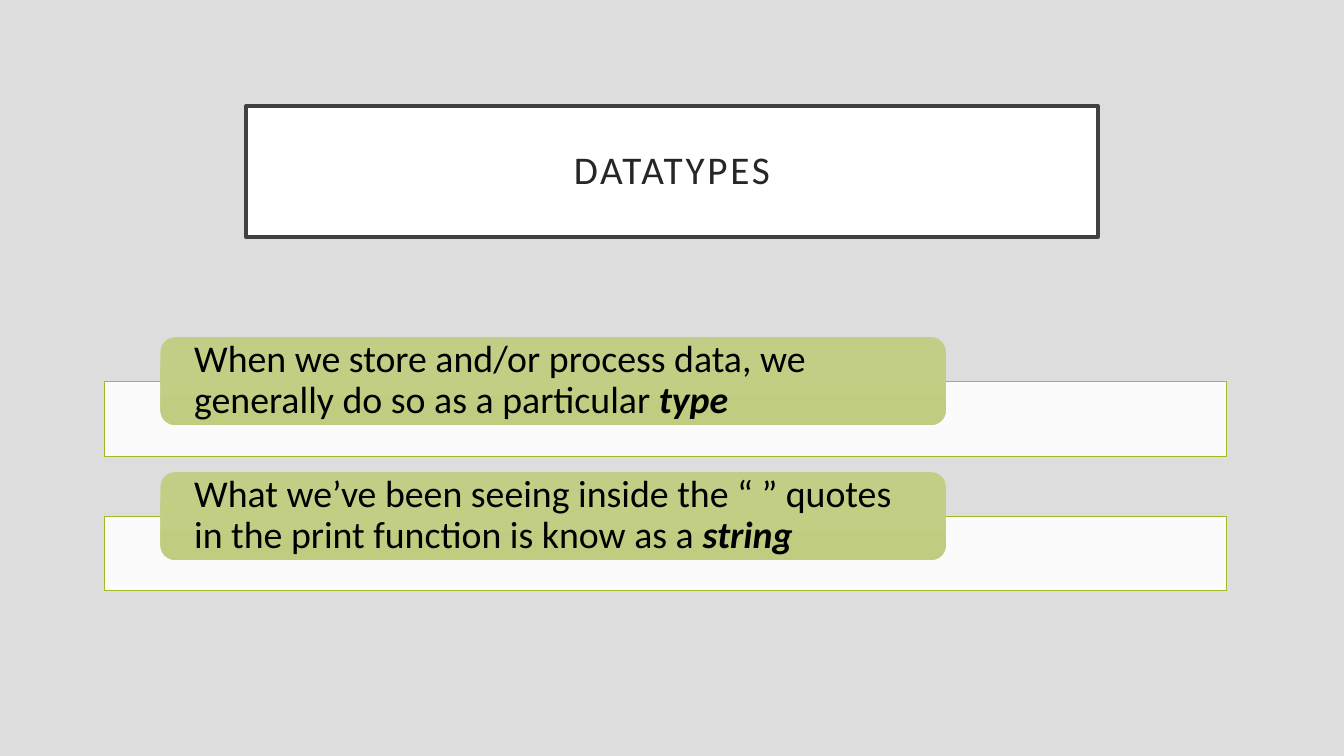
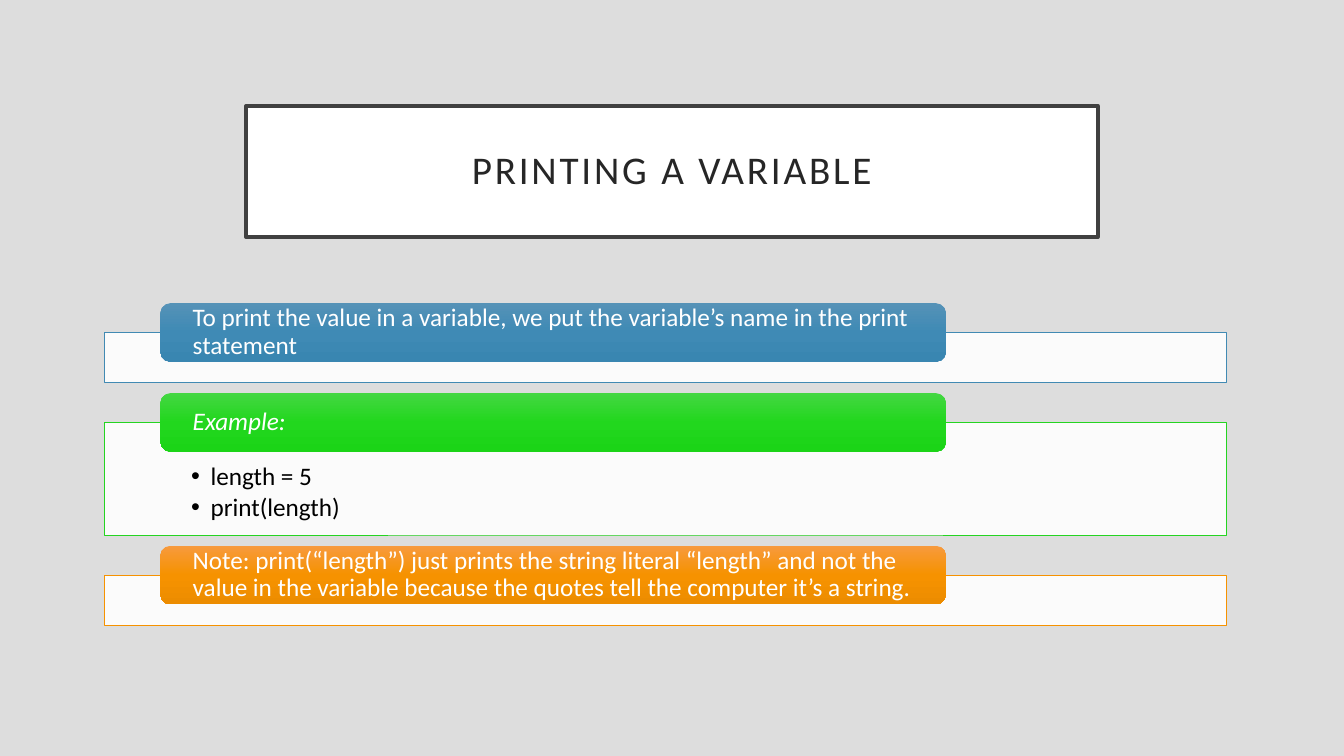
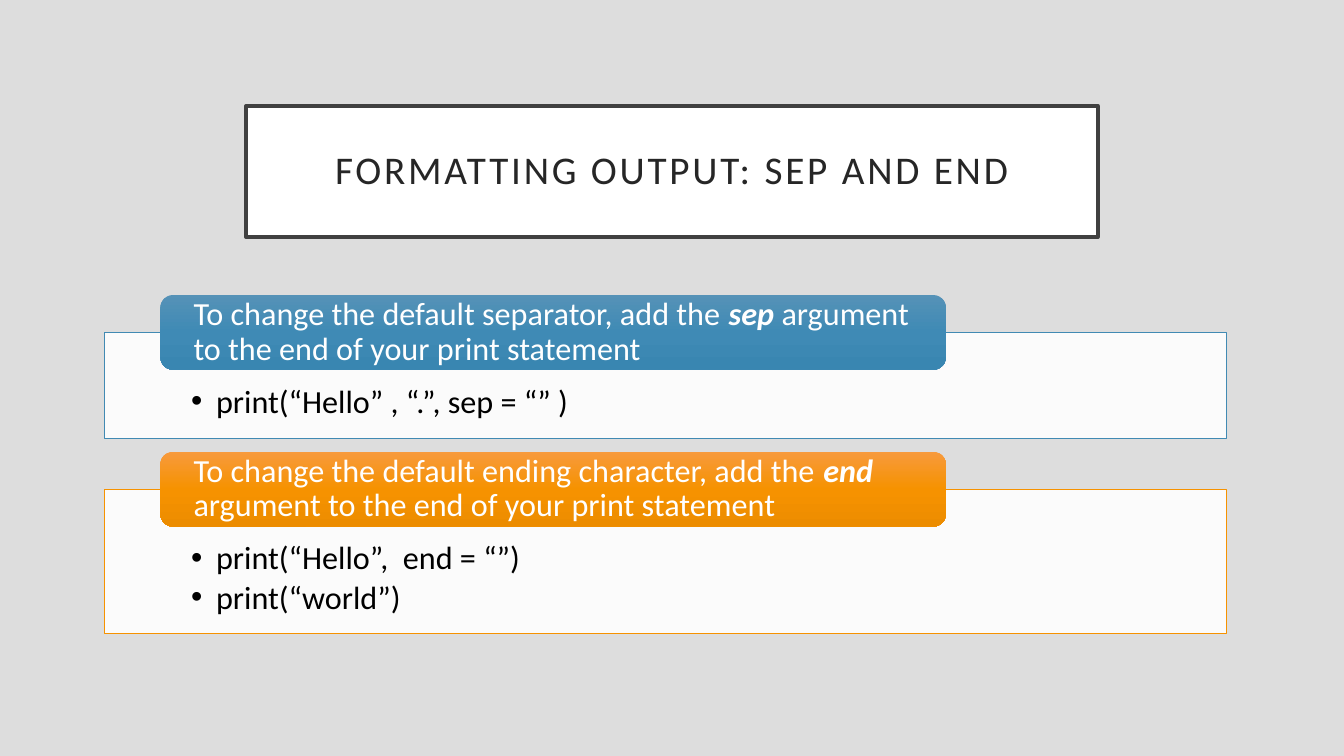
from dataclasses import dataclass

from lxml import etree
from pptx import Presentation
from pptx.dml.color import RGBColor
from pptx.enum import shapes, text
from pptx.oxml import ns
from pptx.util import Pt


# Theme: colours, type and measures shared by all slides
@dataclass(frozen=True)
class Accent:
    line: str
    stops: tuple  # tab gradient, top to bottom
    ink: str = "FFFFFF"


@dataclass(frozen=True)
class Theme:
    font: str = "Calibri"
    title_size: int = 28
    background: str = "DDDDDD"
    white: str = "FFFFFF"
    black: str = "000000"
    title_ink: str = "262626"
    title_line: str = "404040"
    olive: Accent = Accent("A6B727", ("C2CE86", "C0CD80"), "000000")
    blue: Accent = Accent("418AB3", ("5592B7", "3F8AB5", "3986B1"))
    green: Accent = Accent("25D421", ("44D742", "22D71E", "1BD417"))
    orange: Accent = Accent("F69200", ("F79A3D", "F69200", "EC8C00"))


THEME = Theme()
TITLE_BOX = (175.7, 75.6, 608.5, 93.8)
PANEL_LEFT, PANEL_WIDTH = 74.6, 801.4
TAB_LEFT, TAB_WIDTH = PANEL_LEFT + 0.05 * PANEL_WIDTH, 0.7 * PANEL_WIDTH
STACK_MIDDLE = 331.5

# Vertical measures of the stack, as multiples of its type size
TAB_HEIGHT, GAP = 2.32, 0.43
EMPTY_PANEL, LIST_PANEL, LIST_LINE = 1.98, 2.09, 1.19

# Title Only, Title and Content, Two Content: by number of lists
LAYOUT_FOR_LISTS = (5, 1, 3)


@dataclass(frozen=True)
class Section:
    accent: Accent
    heading: tuple  # (words, style) pairs; style holds "b" and/or "i"
    items: tuple = ()

    def panel_height(self, size):
        if not self.items:
            return EMPTY_PANEL * size
        return (LIST_PANEL + LIST_LINE * len(self.items)) * size


# Helpers
def rgb(value):
    return RGBColor.from_string(value)


def place(shape, left, top, width, height):
    shape.left, shape.top = Pt(left), Pt(top)
    shape.width, shape.height = Pt(width), Pt(height)


def fill_and_outline(shape, fill, line, weight):
    shape.fill.solid()
    shape.fill.fore_color.rgb = rgb(fill)
    shape.line.color.rgb = rgb(line)
    shape.line.width = Pt(weight)


def set_alpha(shape, percent):
    colour = shape._element.spPr.find(ns.qn("a:solidFill"))[0]
    etree.SubElement(colour, ns.qn("a:alpha"), val=str(percent * 1000))


def set_gradient(shape, stops):
    shape.fill.gradient()
    shape.fill.gradient_angle = 270
    stop_list = shape._element.spPr.find(".//" + ns.qn("a:gsLst"))
    stop_list.clear()
    for i, value in enumerate(stops):
        position = str(100000 * i // (len(stops) - 1))
        stop = etree.SubElement(stop_list, ns.qn("a:gs"), pos=position)
        etree.SubElement(stop, ns.qn("a:srgbClr"), val=value)


def frame_of(shape, left, top, right, bottom, anchor):
    frame = shape.text_frame
    frame.word_wrap = True
    frame.auto_size = text.MSO_AUTO_SIZE.NONE
    frame.vertical_anchor = anchor
    frame.margin_left, frame.margin_top = Pt(left), Pt(top)
    frame.margin_right, frame.margin_bottom = Pt(right), Pt(bottom)
    return frame


def write(paragraph, runs, size, ink, align=text.PP_ALIGN.LEFT, after=0):
    paragraph.alignment = align
    paragraph.line_spacing = 0.9
    paragraph.space_before, paragraph.space_after = Pt(0), Pt(after)
    font = paragraph.font
    font.name, font.size, font.color.rgb = THEME.font, Pt(size), rgb(ink)
    for words, style in runs:
        run = paragraph.add_run()
        run.text = words
        if "b" in style:
            run.font.bold = True
        if "i" in style:
            run.font.italic = True


def set_bullet(paragraph, indent):
    props = paragraph._p.get_or_add_pPr()
    props.set("marL", str(Pt(indent)))
    props.set("indent", str(-Pt(indent)))
    bullet = etree.Element(ns.qn("a:buChar"), char="•")
    props.find(ns.qn("a:defRPr")).addprevious(bullet)


# Kinds of element
def add_title(slide, words):
    title = slide.shapes.title
    place(title, *TITLE_BOX)
    fill_and_outline(title, THEME.white, THEME.title_line, 2.5)
    frame = frame_of(title, 14.4, 14.4, 14.4, 14.4, text.MSO_ANCHOR.MIDDLE)
    heading = frame.paragraphs[0]
    write(heading, [(words, "")], THEME.title_size, THEME.title_ink,
          text.PP_ALIGN.CENTER)
    heading.runs[0]._r.get_or_add_rPr().set("spc", "200")


def add_panel(slide, section, top, size, bodies):
    if section.items:
        panel = next(bodies)
    else:
        panel = slide.shapes.add_shape(shapes.MSO_SHAPE.RECTANGLE, 0, 0, 0, 0)
        panel.shadow.inherit = False
    place(panel, PANEL_LEFT, top, PANEL_WIDTH, section.panel_height(size))
    fill_and_outline(panel, THEME.white, section.accent.line, 0.5)
    set_alpha(panel, 90)
    if section.items:
        frame = frame_of(panel, 62, 1.64 * size, 62, 0.56 * size,
                         text.MSO_ANCHOR.TOP)
        for i, item in enumerate(section.items):
            entry = frame.add_paragraph() if i else frame.paragraphs[0]
            write(entry, [(item, "")], size, THEME.black, after=0.14 * size)
            set_bullet(entry, 0.77 * size)


def add_tab(slide, section, top, size):
    tab = slide.shapes.add_shape(
        shapes.MSO_SHAPE.ROUNDED_RECTANGLE, Pt(TAB_LEFT), Pt(top),
        Pt(TAB_WIDTH), Pt(TAB_HEIGHT * size))
    tab.shadow.inherit = False
    tab.line.fill.background()
    set_gradient(tab, section.accent.stops)
    frame = frame_of(tab, 21, 0, 21, 0, text.MSO_ANCHOR.MIDDLE)
    write(frame.paragraphs[0], section.heading, size, section.accent.ink)


def add_stack_slide(prs, title, size, sections):
    list_count = sum(bool(section.items) for section in sections)
    slide = prs.slides.add_slide(prs.slide_layouts[LAYOUT_FOR_LISTS[list_count]])
    add_title(slide, title)
    bodies = iter([holder for holder in slide.placeholders
                   if holder.placeholder_format.idx > 0])

    # The stack is centred on one height; each tab straddles its panel's top
    overhang = TAB_HEIGHT * size / 2
    heights = [overhang + section.panel_height(size) for section in sections]
    total = sum(heights) + GAP * size * (len(sections) - 1)
    top = STACK_MIDDLE - total / 2
    for section, height in zip(sections, heights):
        add_panel(slide, section, top + overhang, size, bodies)
        add_tab(slide, section, top, size)
        top += height + GAP * size


def main():
    prs = Presentation()
    prs.slide_width, prs.slide_height = Pt(960), Pt(540)
    backdrop = prs.slide_master.background.fill
    backdrop.solid()
    backdrop.fore_color.rgb = rgb(THEME.background)

    add_stack_slide(prs, "DATATYPES", 27, [
        Section(THEME.olive, (
            ("When we store and/or process data, we generally do so as a "
             "particular ", ""), ("type", "bi"))),
        Section(THEME.olive, (
            ("What we’ve been seeing inside the “ ” quotes in the print "
             "function is know as a ", ""), ("string", "bi"))),
    ])
    add_stack_slide(prs, "PRINTING A VARIABLE", 18, [
        Section(THEME.blue, (
            ("To print the value in a variable, we put the variable’s name "
             "in the print statement", ""),)),
        Section(THEME.green, (("Example:", "i"),),
                ("length = 5", "print(length)")),
        Section(THEME.orange, (
            ("Note: print(“length”) just prints the string literal “length” "
             "and not the value in the variable because the quotes tell the "
             "computer it’s a string.", ""),)),
    ])
    add_stack_slide(prs, "FORMATTING OUTPUT: SEP AND END", 23, [
        Section(THEME.blue, (
            ("To change the default separator, add the ", ""), ("sep ", "bi"),
            ("argument to the end of your print statement", "")),
            ("print(“Hello” , “.”, sep = “” )",)),
        Section(THEME.orange, (
            ("To change the default ending character, add the ", ""),
            ("end", "bi"),
            (" argument to the end of your print statement", "")),
            ("print(“Hello”,  end = “”)", "print(“world”)")),
    ])
    prs.save("out.pptx")


if __name__ == "__main__":
    main()
